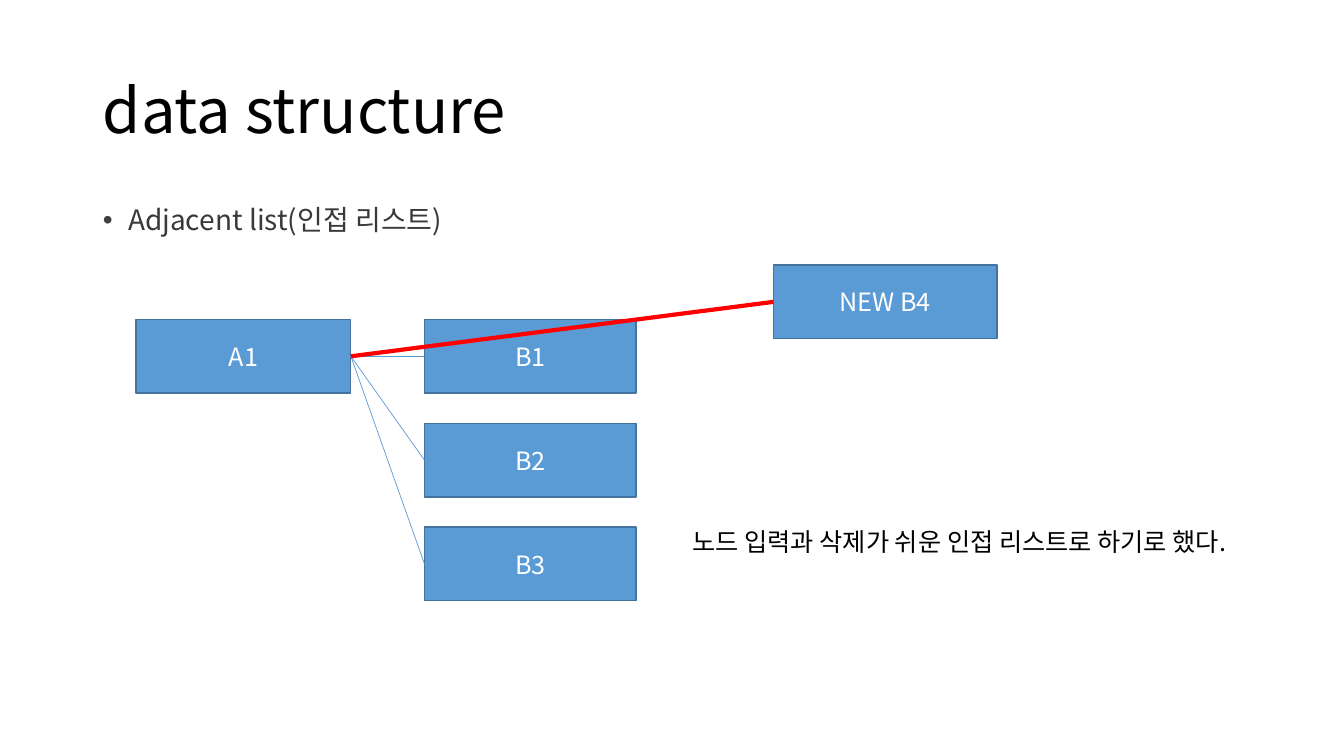
from lxml import etree
from pptx import Presentation
from pptx.dml.color import RGBColor
from pptx.enum.shapes import MSO_CONNECTOR, MSO_SHAPE
from pptx.enum.text import MSO_ANCHOR, MSO_AUTO_SIZE, PP_ALIGN
from pptx.oxml.ns import qn
from pptx.util import Inches, Pt

RECT = MSO_SHAPE.RECTANGLE
LINE = MSO_CONNECTOR.STRAIGHT
MIDDLE = MSO_ANCHOR.MIDDLE
TOP = MSO_ANCHOR.TOP
FIXED = MSO_AUTO_SIZE.NONE
LEFT = PP_ALIGN.LEFT
CENTER = PP_ALIGN.CENTER
LEFT_SIDE, RIGHT_SIDE = 1, 3

FONT = "Noto Sans CJK KR"
COLORS = {
    "black": "000000",
    "white": "FFFFFF",
    "text": "373A3C",
    "bullet": "404040",
    "node": "5B9BD5",
    "edge": "43739E",
    "new": "FF0000",
}


class Deck:
    def __init__(self):
        self.file = Presentation()
        self.file.slide_width = Inches(13.33)
        self.file.slide_height = Inches(7.5)
        self.slide = self.file.slides.add_slide(self.file.slide_layouts[1])
        self.shapes = self.slide.shapes

    def color(self, name):
        return RGBColor.from_string(COLORS[name])

    def label(self, shape, text, size, color, align=LEFT, anchor=TOP):
        frame = shape.text_frame
        frame.text = text
        frame.auto_size = FIXED
        frame.vertical_anchor = anchor
        par = frame.paragraphs[0]
        par.alignment = align
        for run in par.runs:
            run.font.name = FONT
            run.font.size = Pt(size)
            run.font.color.rgb = self.color(color)
            latin = run.font._element.find(qn("a:latin"))
            latin.addnext(latin.makeelement(qn("a:ea"), {"typeface": FONT}))
        return par

    def place(self, shape, left, top, width, height):
        shape.left, shape.top = Inches(left), Inches(top)
        shape.width, shape.height = Inches(width), Inches(height)

    def title(self, text, *area):
        shape = self.shapes.title
        self.place(shape, *area)
        self.label(shape, text, 44, "black", anchor=MIDDLE).line_spacing = 0.9

    def list(self, text, *area):
        shape = self.slide.placeholders[1]
        self.place(shape, *area)
        par = self.label(shape, text, 20, "text")
        par.line_spacing = 0.9
        par.space_before = Pt(10)
        props = par._p.get_or_add_pPr()
        indent = Inches(0.25)
        props.set("marL", str(indent))
        props.set("indent", str(-indent))
        tint = etree.SubElement(props, qn("a:buClr"))
        etree.SubElement(tint, qn("a:srgbClr"), val=COLORS["bullet"])
        etree.SubElement(props, qn("a:buFont"), typeface="Arial")
        etree.SubElement(props, qn("a:buChar"), char="•")

    def node(self, text, left, top, width, height=0.73):
        area = [Inches(size) for size in (left, top, width, height)]
        shape = self.shapes.add_shape(RECT, *area)
        shape.shadow.inherit = False
        shape.fill.solid()
        shape.fill.fore_color.rgb = self.color("node")
        shape.line.color.rgb = self.color("edge")
        shape.line.width = Pt(1)
        self.label(shape, text, 18, "white", CENTER, MIDDLE)
        return shape

    def link(self, start, end, color, width):
        line = self.shapes.add_connector(LINE, 0, 0, 0, 0)
        line.begin_connect(start, RIGHT_SIDE)
        line.end_connect(end, LEFT_SIDE)
        line.line.color.rgb = self.color(color)
        line.line.width = Pt(width)
        etree.SubElement(line._element.spPr, qn("a:effectLst"))

    def note(self, text, *area):
        shape = self.shapes.add_textbox(*[Inches(size) for size in area])
        shape.text_frame.word_wrap = False
        self.label(shape, text, 18, "black")

    def save(self):
        self.file.save("out.pptx")


def main():
    deck = Deck()
    deck.title("data structure", 0.92, 0.4, 11.5, 1.45)
    deck.list("Adjacent list(인접 리스트)", 0.92, 2, 11.5, 4.76)

    root = deck.node("A1", 1.35, 3.17, 2.13)
    leaves = [
        deck.node(f"B{i + 1}", 4.21, 3.17 + 1.03 * i, 2.1) for i in range(3)
    ]
    new = deck.node("NEW B4", 7.67, 2.63, 2.22)

    for leaf in leaves:
        deck.link(root, leaf, "node", 0.5)
    deck.link(root, new, "new", 3)

    deck.note("노드 입력과 삭제가 쉬운 인접 리스트로 하기로 했다.", 6.77, 5.17, 6.12, 0.4)
    deck.save()


if __name__ == "__main__":
    main()
